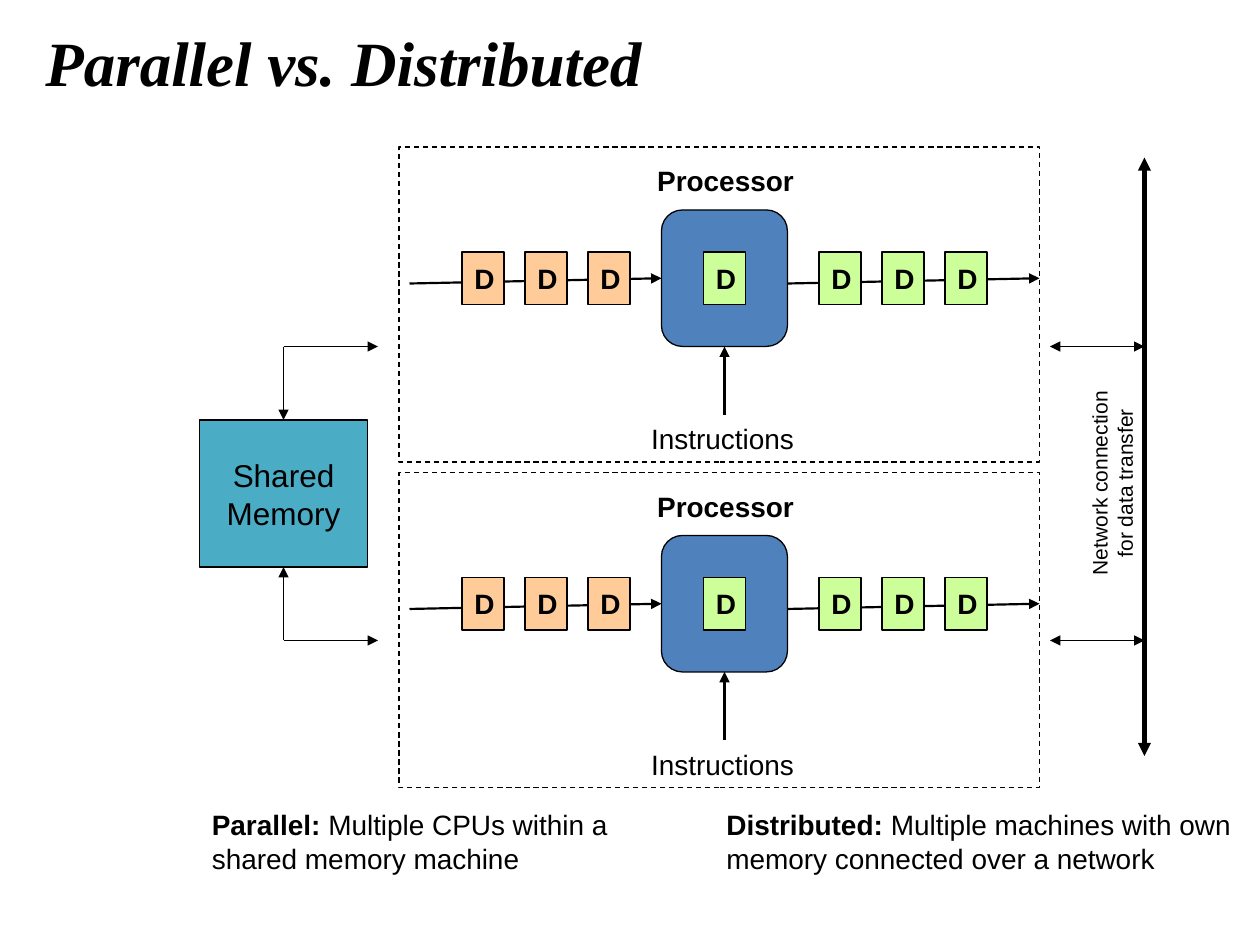
from lxml.etree import SubElement
from pptx import Presentation
from pptx.dml.color import RGBColor
from pptx.enum.dml import MSO_LINE as Dash
from pptx.enum.shapes import MSO_CONNECTOR as Link, MSO_SHAPE as Kind
from pptx.enum.text import MSO_ANCHOR as Anchor, MSO_AUTO_SIZE as Fit, PP_ALIGN as Align
from pptx.oxml.ns import qn
from pptx.util import Pt

# Content
TITLE = "Parallel vs. Distributed"
MEMORY = "Shared\nMemory"
NETWORK = "Network connection\vfor data transfer"
NOTES = [  # left, width, term, meaning
    (114, 288, "Parallel: ", "Multiple CPUs within a shared memory machine"),
    (408, 306, "Distributed: ", "Multiple machines with own memory connected over a network"),
]
BLACK, BLUE, TEAL = "000000", "4F81BD", "4BACC6"
ORANGE, GREEN = "FFCC99", "CCFF99"
DATA = [(264, ORANGE), (300, ORANGE), (336, ORANGE), (402, GREEN),
        (468, GREEN), (504, GREEN), (540, GREEN)]

# Machine tops, and the links beside them
TOPS = [84, 270]
LINKS = [198, 366]
ARROWS = [  # x1, y1, x2, y2, width, ends
    (162, 198, 216, 198, 0.75, "tail"),
    (162, 198, 162, 240, 0.75, "tail"),
    (162, 366, 162, 324, 0.75, "tail"),
    (162, 366, 216, 366, 0.75, "tail"),
    (654, 90, 654, 432, 2.5, "both"),
] + [(600, y, 654, y, 0.75, "both") for y in LINKS]

prs = Presentation()
prs.slide_width, prs.slide_height = Pt(720), Pt(540)
slide = prs.slides.add_slide(prs.slide_layouts[5])
shapes = slide.shapes


def color(code):
    return RGBColor.from_string(code)


def style(run, size, bold=False, face="Arial"):
    font = run.font
    font.name, font.size, font.bold = face, Pt(size), bold
    font.color.rgb = color(BLACK)


def style_all(frame, size, bold=False, align=None):
    for para in frame.paragraphs:
        para.alignment = align
        for run in para.runs:
            style(run, size, bold)


def box(x, y, w, h, fill=None, kind=Kind.RECTANGLE, text="", size=16, bold=True):
    shape = shapes.add_shape(kind, Pt(x), Pt(y), Pt(w), Pt(h))
    shape.shadow.inherit = False
    if fill:
        shape.fill.solid()
        shape.fill.fore_color.rgb = color(fill)
    else:
        shape.fill.background()
    shape.line.color.rgb = color(BLACK)
    shape.line.width = Pt(0.75)
    if text:
        shape.text_frame.text = text
        style_all(shape.text_frame, size, bold, Align.CENTER)
    return shape


def label(x, y, w, h, text, size=16, bold=False, wrap=False, align=None):
    shape = shapes.add_textbox(Pt(x), Pt(y), Pt(w), Pt(h))
    frame = shape.text_frame
    frame.word_wrap, frame.auto_size = wrap, Fit.SHAPE_TO_FIT_TEXT
    frame.text = text
    style_all(frame, size, bold, align)
    return shape


def arrow(x1, y1, x2, y2, width=1.25, ends="tail"):
    line = shapes.add_connector(Link.STRAIGHT, Pt(x1), Pt(y1), Pt(x2), Pt(y2))
    line.line.color.rgb = color(BLACK)
    line.line.width = Pt(width)
    ln = line.line._get_or_add_ln()
    if ends == "both":
        SubElement(ln, qn("a:headEnd"), type="triangle")
    SubElement(ln, qn("a:tailEnd"), type="triangle")
    SubElement(line._element.spPr, qn("a:effectLst"))


def machine(top):
    box(228, top, 366, 180).line.dash_style = Dash.DASH
    for x in (450, 234):
        arrow(x, top + 78, x + 144, top + 75)
    box(378, top + 36, 72, 78, BLUE, Kind.ROUNDED_RECTANGLE)
    for x, fill in DATA:
        box(x, top + 60, 24, 30, fill, text="D")
    label(368.5, top + 6, 93.5, 26.6, "Processor", bold=True)
    arrow(414, top + 153, 414, top + 114)
    label(365, top + 153.5, 97.5, 26.6, "Instructions")


# Title
title = shapes.title
title.left, title.top, title.width, title.height = Pt(18.7), Pt(0.7), Pt(681), Pt(69)
frame = title.text_frame
frame.text = TITLE
frame.auto_size, frame.vertical_anchor = Fit.NONE, Anchor.MIDDLE
para = frame.paragraphs[0]
para.alignment = Align.LEFT
style(para.runs[0], 36, True, "Times New Roman")
para.runs[0].font.italic = True

# Shared memory and links
box(114, 240, 96, 84, TEAL, text=MEMORY, size=18, bold=False)
for ends in ARROWS:
    arrow(*ends)
net = label(575.3, 257.8, 121, 36.7, NETWORK, 12, align=Align.CENTER)
net.rotation = 270

# Machines
for top in TOPS:
    machine(top)

# Notes
for x, w, term, text in NOTES:
    note = label(x, 458, w, 46, term, bold=True, wrap=True)
    run = note.text_frame.paragraphs[0].add_run()
    run.text = text
    style(run, 16)

prs.save("out.pptx")
